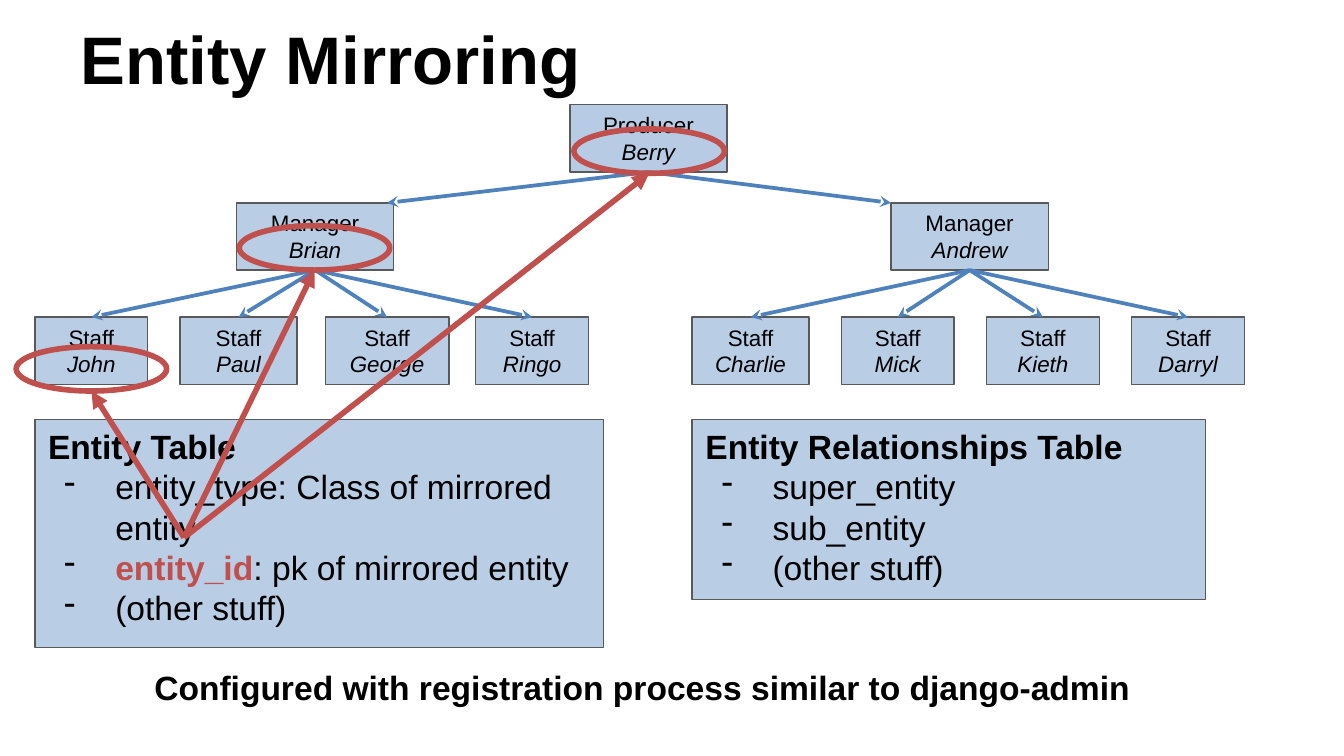
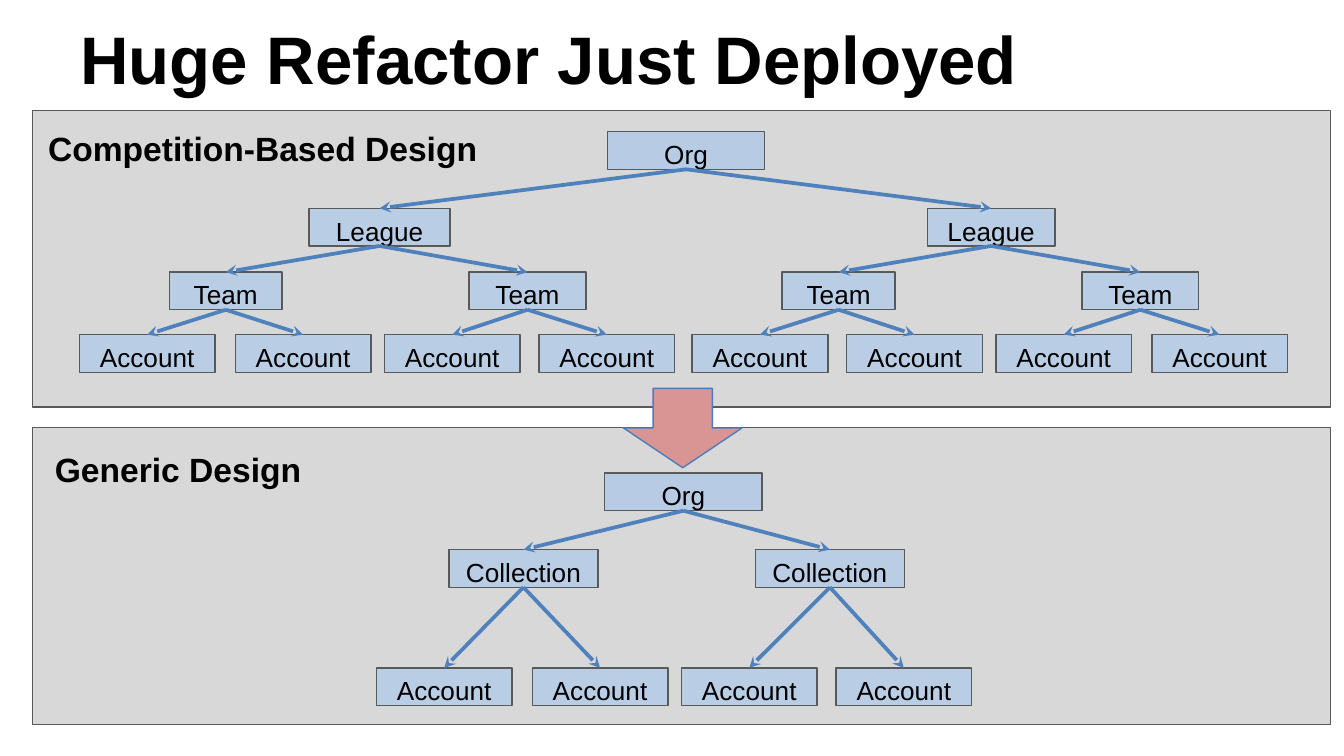
from lxml import etree
from pptx import Presentation
from pptx import util as u
from pptx.dml.color import RGBColor
from pptx.enum import shapes, text
from pptx.oxml.ns import qn

rgb = RGBColor.from_string
BLACK, BLUE, RED, GREY = "000000", "4F81BD", "C0504D", "595959"
TOP_FILL, NODE_FILL, PANEL_FILL = "B7CCE4", "B9CDE5", "D8D8D8"
RECT = shapes.MSO_SHAPE.RECTANGLE
OVAL = shapes.MSO_SHAPE.OVAL
DOWN = shapes.MSO_SHAPE.DOWN_ARROW

prs = Presentation()
prs.slide_width = u.Inches(10)
prs.slide_height = prs.slide_width * 9 // 16
CELL = prs.slide_width // 100


def box(s, label, x, y, w, h, kind=None, fill=None, line=GREY, weight=0.75, size=18,
        bold=False, center=False, rest=None, accent="", anchor="TOP", inset=0.5):
    at = [round(v * CELL) for v in (x, y, w, h)]
    if kind is None:
        sp = s.shapes.add_textbox(*at)
    else:
        sp = s.shapes.add_shape(kind, *at)
        sp.shadow.inherit = False
        sp.line.color.rgb = rgb(line)
        sp.line.width = u.Pt(weight)
        if fill:
            sp.fill.solid()
            sp.fill.fore_color.rgb = rgb(fill)
        else:
            sp.fill.background()
    if not label:
        return
    tf = sp.text_frame
    tf.word_wrap = True
    tf.vertical_anchor = text.MSO_ANCHOR[anchor]
    tf.margin_left = tf.margin_right = CELL
    tf.margin_top = tf.margin_bottom = round(inset * CELL)
    for i, row in enumerate(label.split("\n")):
        p = tf.paragraphs[0] if i == 0 else tf.add_paragraph()
        p.alignment = text.PP_ALIGN.CENTER if center else text.PP_ALIGN.LEFT
        if i and rest == "bullet":
            pPr = p._p.get_or_add_pPr()
            pPr.set("marL", str(u.Inches(0.5)))
            pPr.set("indent", str(u.Inches(-0.38)))
            clr = etree.SubElement(pPr, qn("a:buClr"))
            etree.SubElement(clr, qn("a:srgbClr"), val=BLACK)
            etree.SubElement(pPr, qn("a:buChar"), char="-")
        marked = bool(accent) and row.startswith(accent)
        for part in (accent, row[len(accent):]) if marked else (row,):
            r = p.add_run()
            r.text = part
            hot = marked and part == accent
            r.font.name = "Arial"
            r.font.size = u.Pt(size)
            r.font.bold = hot or (bold and i == 0)
            r.font.italic = i > 0 and rest == "italic"
            r.font.color.rgb = rgb(RED if hot else BLACK)


def arrow(s, x1, y1, x2, y2, color=BLUE, weight=2, head="stealth"):
    ends = [round(v * CELL) for v in (x1, y1, x2, y2)]
    sp = s.shapes.add_connector(shapes.MSO_CONNECTOR.STRAIGHT, *ends)
    sp.line.color.rgb = rgb(color)
    sp.line.width = u.Pt(weight)
    spPr = sp._element.spPr
    etree.SubElement(spPr.find(qn("a:ln")), qn("a:tailEnd"), type=head)
    etree.SubElement(spPr, qn("a:effectLst"))


slides = []
for title in ("Entity Mirroring", "Huge Refactor Just Deployed"):
    s = prs.slides.add_slide(prs.slide_layouts[6])
    box(s, title, 5, -1.1, 90, 9.4, size=36, bold=True, anchor="BOTTOM", inset=1)
    slides.append(s)
mirror, refactor = slides

for y, x, label_y, label in ((8.2, 2.6, 9, "Competition-Based Design"),
                             (31.8, 3.1, 32.9, "Generic Design")):
    box(refactor, "", 2.4, y, 96.6, 22.1, RECT, PANEL_FILL)
    box(refactor, label, x, label_y, 35.5, 3, bold=True)

staff = [("John", 2.6, 8.4), ("Paul", 13.4, 8.7), ("George", 24.2, 9.2), ("Ringo", 35.4, 8.4),
         ("Charlie", 51.5, 8.7), ("Mick", 62.6, 8.4), ("Kieth", 73.4, 8.4), ("Darryl", 84.2, 8.4)]
trees = [
    (mirror, 12, 5, [
        (7.8, [("Producer\nBerry", 42.4, 11.7)]),
        (15.1, [("Manager\nBrian", 17.6, 11.7), ("Manager\nAndrew", 66.3, 11.7)]),
        (23.6, [("Staff\n" + name, x, w) for name, x, w in staff])]),
    (refactor, 14, 2.8, [
        (9.8, [("Org", 45.2, 11.7)]),
        (15.5, [("League", 23, 10.5), ("League", 69, 9.5)]),
        (20.25, [("Team", 12.6, 8.4), ("Team", 34.9, 8.7),
                 ("Team", 58.2, 8.4), ("Team", 80.5, 8.7)]),
        (24.9, [("Account", x, 10.1)
                for x in (5.9, 17.5, 28.6, 40.1, 51.5, 63, 74.1, 85.7)])]),
    (refactor, 14, 2.8, [
        (35.2, [("Org", 45, 11.7)]),
        (40.9, [("Collection", 33.4, 11.1), ("Collection", 56.2, 11.1)]),
        (49.7, [("Account", x, 10.1) for x in (28, 39.6, 50.7, 62.2)])]),
]
tips = {"Manager\nBrian": 28.8, "Manager\nAndrew": 66.3}

for s, size, h, levels in trees:
    parents = []
    for y, nodes in levels:
        for i, (label, x, w) in enumerate(nodes):
            box(s, label, x, y, w, h, RECT, NODE_FILL if parents else TOP_FILL,
                size=size, center=True, rest="italic")
            if parents:
                _, px, pw = parents[i * len(parents) // len(nodes)]
                arrow(s, px + pw / 2, parent_y + h, tips.get(label, x + w / 2), y)
        parents, parent_y = nodes, y

box(refactor, "", 46.4, 28.9, 8.8, 5.9, DOWN, "D99593", "4A7DBB")

box(mirror, "Entity Table\nentity_type: Class of mirrored entity\n"
    "entity_id: pk of mirrored entity\n(other stuff)",
    2.6, 31.2, 42.3, 17, RECT, NODE_FILL, bold=True, rest="bullet", accent="entity_id")
box(mirror, "Entity Relationships Table\nsuper_entity\nsub_entity\n(other stuff)",
    51.5, 31.2, 38.2, 13.4, RECT, NODE_FILL, bold=True, rest="bullet")
box(mirror, "Configured with registration process similar to django-admin",
    10.5, 49.1, 76, 5.3, bold=True)

for x, y in ((1.2, 25.8), (17.8, 16.8), (42.7, 9.6)):
    box(mirror, "", x, y, 11.2, 3.3, OVAL, line=RED, weight=3)
    arrow(mirror, 13.7, 40, x + 5.6, y + 3.3, RED, 3, "triangle")

prs.save("out.pptx")
